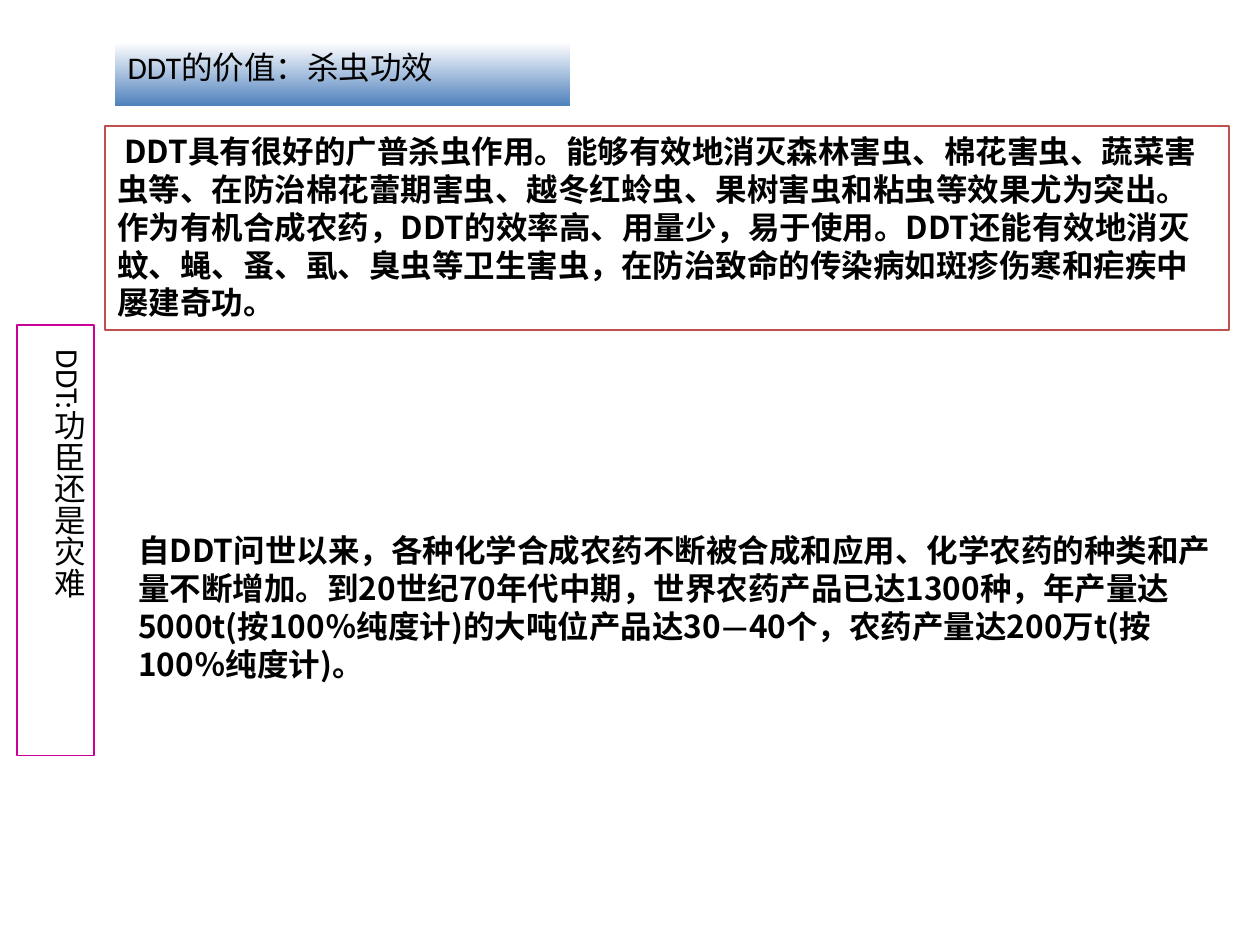
from lxml import etree
from pptx import Presentation
from pptx import util as u
from pptx.dml.color import RGBColor
from pptx.enum import shapes, text
from pptx.oxml.ns import qn

PX = 914400 // 126
COLORS = {"text": "000000", "fade": "FFFFFF", "blue": "4F81BD",
          "red": "C0504D", "magenta": "CC0099"}
LATIN, SC, JP = "Calibri", "Noto Sans CJK SC", "Noto Sans CJK JP"

# Each run is (wording, Latin font)
HEADING = [("DDT的价值：杀虫功效", LATIN)]
EFFECT = [
    (" ", LATIN),
    ("DDT具有很好的广普杀虫作用。能够有效地消灭森林害虫、棉花害虫、蔬菜害虫等、"
     "在防治棉花蕾期害虫、越冬红蛉虫、果树害虫和粘虫等效果尤为突出。"
     "作为有机合成农药，DDT的效率高、用量少，易于使用。"
     "DDT还能有效地消灭蚊、蝇、蚤、虱、臭虫等卫生害虫，"
     "在防治致命的传染病如斑疹伤寒和疟疾中屡建奇功", SC),
    ("。", LATIN),
]
OUTPUT = [
    ("自DDT问世以来，各种化学合成农药不断被合成和应用、化学农药的种类和产量不断增加。"
     "到20世纪70年代中期，世界农药产品已达1300种，"
     "年产量达5000t(按100％纯度计)的大吨位产品达30", JP),
    ("—", LATIN),
    ("40个，农药产量达200万t(按100％纯度计)。", JP),
]
QUESTION = [("DDT:功臣还是灾难", LATIN)]

# Left, top, width, height in px
HEADING_BOX = (115, 42, 455, 64)
EFFECT_BOX = (105, 126, 1124, 204)
OUTPUT_BOX = (126, 525, 1103, 265)
QUESTION_BOX = (17, 325, 77, 431)


def rgb(name):
    return RGBColor.from_string(COLORS[name])


def place(box):
    return [n * PX for n in box]


def write(shape, runs, bold=False, asian=SC):
    frame = shape.text_frame
    frame_format = {"word_wrap": True, "auto_size": text.MSO_AUTO_SIZE.NONE,
                    "vertical_anchor": text.MSO_ANCHOR.TOP}
    for key, value in frame_format.items():
        setattr(frame, key, value)
    paragraph = frame.paragraphs[0]
    paragraph.alignment = text.PP_ALIGN.LEFT
    for wording, latin in runs:
        run = paragraph.add_run()
        run.text = wording
        for key, value in {"name": latin, "size": u.Pt(18), "bold": bold}.items():
            setattr(run.font, key, value)
        run.font.color.rgb = rgb("text")
        etree.SubElement(run.font._element, qn("a:ea"), typeface=asian)


def add_frame(slide, box, color):
    """Add an unfilled rectangle with a thin outline."""
    frame = slide.shapes.add_shape(shapes.MSO_SHAPE.RECTANGLE, *place(box))
    frame.shadow.inherit = False
    frame.fill.background()
    frame.line.color.rgb = rgb(color)
    frame.line.width = u.Pt(0.75)
    return frame


def main():
    deck = Presentation()
    deck.slide_width, deck.slide_height = u.Inches(10), u.Inches(7.5)
    slide = deck.slides.add_slide(deck.slide_layouts[5])

    heading = slide.shapes.title
    heading.left, heading.top, heading.width, heading.height = place(HEADING_BOX)
    heading.fill.gradient()
    heading.fill.gradient_angle = 270
    for stop, color in zip(heading.fill.gradient_stops, ("fade", "blue")):
        stop.color.rgb = rgb(color)
    write(heading, HEADING)

    effect = add_frame(slide, EFFECT_BOX, "red")
    write(effect, EFFECT, bold=True)

    output = slide.shapes.add_textbox(*place(OUTPUT_BOX))
    write(output, OUTPUT, bold=True, asian=JP)

    question = add_frame(slide, QUESTION_BOX, "magenta")
    write(question, QUESTION)
    question.text_frame.margin_top = 25 * PX
    question.text_frame.margin_right = 6 * PX
    question.text_frame._txBody.bodyPr.set("vert", "eaVert")

    deck.save("out.pptx")


if __name__ == "__main__":
    main()
